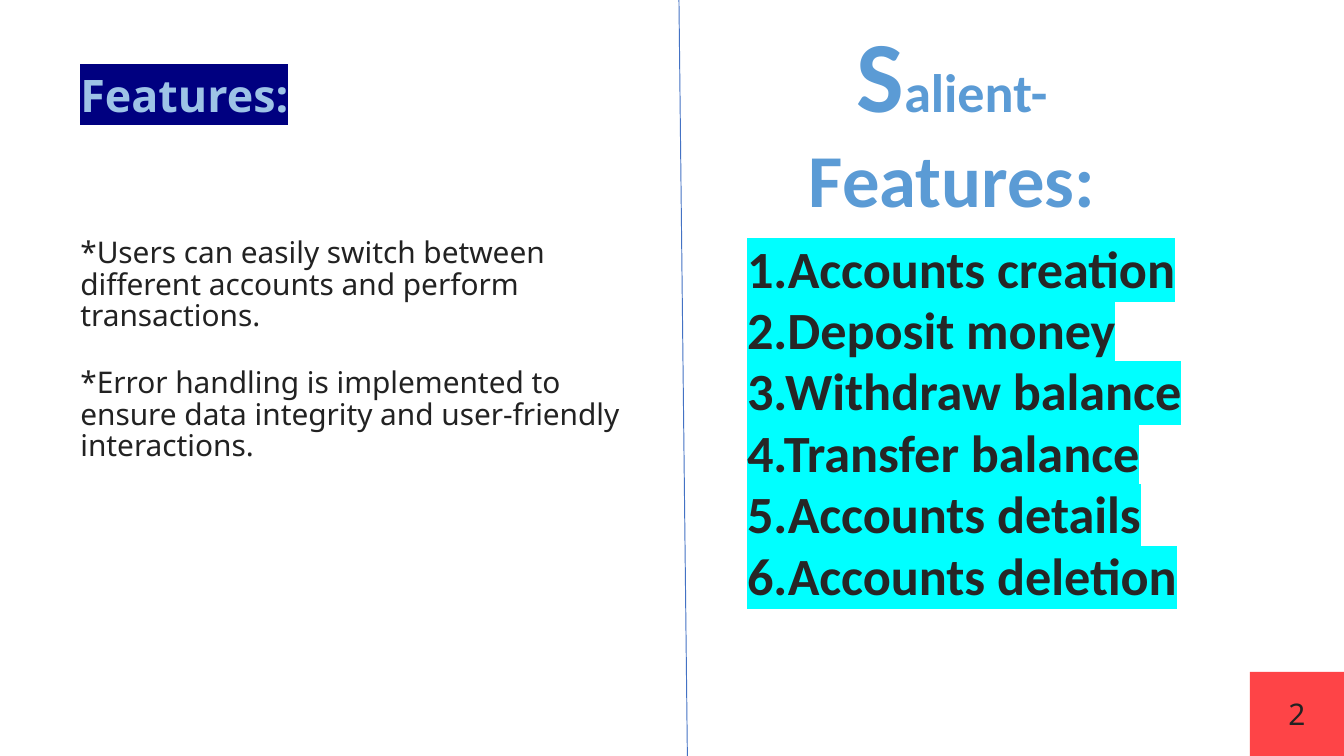
from lxml import etree
from pptx import Presentation
from pptx.dml.color import RGBColor
from pptx.enum.shapes import MSO_CONNECTOR, MSO_SHAPE
from pptx.enum.text import MSO_ANCHOR, PP_ALIGN
from pptx.oxml.ns import qn
from pptx.util import Cm, Pt

RECTANGLE = MSO_SHAPE.RECTANGLE
STRAIGHT = MSO_CONNECTOR.STRAIGHT
TOP, MIDDLE = MSO_ANCHOR.TOP, MSO_ANCHOR.MIDDLE
LEFT, CENTER, JUSTIFY = PP_ALIGN.LEFT, PP_ALIGN.CENTER, PP_ALIGN.JUSTIFY

RED = RGBColor(0xFE, 0x44, 0x47)
INK = RGBColor(0x22, 0x22, 0x22)
DARK_GREY = RGBColor(0x26, 0x26, 0x26)
PALE_BLUE = RGBColor(0x9D, 0xC3, 0xE6)
SKY_BLUE = RGBColor(0x5B, 0x9B, 0xD5)
LINE_BLUE = RGBColor(0x44, 0x72, 0xC4)
NAVY = RGBColor(0x00, 0x00, 0x80)
CYAN = RGBColor(0x00, 0xFF, 0xFF)

prs = Presentation()
prs.slide_width, prs.slide_height = Cm(25.4), Cm(14.29)
slide = prs.slides.add_slide(prs.slide_layouts[6])


def add_text(box, lines, font, size, color, bold=False, align=LEFT, anchor=TOP):
    """Add a text box at (left, top, width, height) in cm, one paragraph a line."""
    frame = slide.shapes.add_textbox(*(Cm(v) for v in box)).text_frame
    frame.word_wrap = True
    frame.vertical_anchor = anchor
    frame.text = "\n".join(lines)
    for paragraph in frame.paragraphs:
        paragraph.alignment = align
        paragraph.font.name = font
        paragraph.font.size = Pt(size)
        paragraph.font.bold = bold
        paragraph.font.color.rgb = color
    return frame


def highlight(frame, color):
    for paragraph in frame.paragraphs:
        for run in paragraph.runs:
            mark = etree.SubElement(run.font._element, qn("a:highlight"))
            etree.SubElement(mark, qn("a:srgbClr"), val=str(color))


# Page number on its red corner
corner_box = (23.62, 12.7, 1.78, 1.59)
corner = slide.shapes.add_shape(RECTANGLE, *(Cm(v) for v in corner_box))
corner.shadow.inherit = False
corner.fill.solid()
corner.fill.fore_color.rgb = RED
corner.line.fill.background()
add_text(corner_box, ["2"], "Noto Sans", 16, INK, align=CENTER, anchor=MIDDLE)

# Left half: heading and description
heading = add_text((1.27, 0.64, 22.86, 2.29), ["Features:"],
                   "Noto Sans", 24, PALE_BLUE, bold=True, anchor=MIDDLE)
highlight(heading, NAVY)

description = add_text((1.27, 3.71, 11.43, 7.95), [
    "*Users can easily switch between different accounts and perform transactions.",
    "*Error handling is implemented to ensure data integrity and user-friendly interactions.",
], "Noto Sans", 16, INK)
description.margin_top = Cm(0.8)
for paragraph in description.paragraphs:
    paragraph.line_spacing = 0.88
description.paragraphs[1].space_before = Pt(19)

# Right half: title with mixed letter sizes
title = add_text((13.59, 0.1, 8.81, 4.27), [""],
                 "Calibri", 54, SKY_BLUE, bold=True, align=CENTER)
for part, size in (("S", 54), ("alient-", 29), (" ", 54), ("Features:", 40)):
    run = title.paragraphs[0].add_run()
    run.text = part
    run.font.size = Pt(size)

# Right half: numbered features
features = ["Accounts creation", "Deposit money", "Withdraw balance",
            "Transfer balance", "Accounts details", "Accounts deletion"]
feature_list = add_text((13.87, 4.39, 8.81, 8.64),
                        [f"{n}.{feature}" for n, feature in enumerate(features, 1)],
                        "Calibri", 28, DARK_GREY, bold=True, align=JUSTIFY)
highlight(feature_list, CYAN)
for paragraph in feature_list.paragraphs:
    paragraph.line_spacing = 0.98

# Divider between the halves
divider = slide.shapes.add_connector(STRAIGHT, Cm(12.83), Cm(-0.13), Cm(13), Cm(15.14))
divider.line.color.rgb = LINE_BLUE
divider.line.width = Pt(0.5)
etree.SubElement(divider._element.spPr, qn("a:effectLst"))

prs.save("out.pptx")
